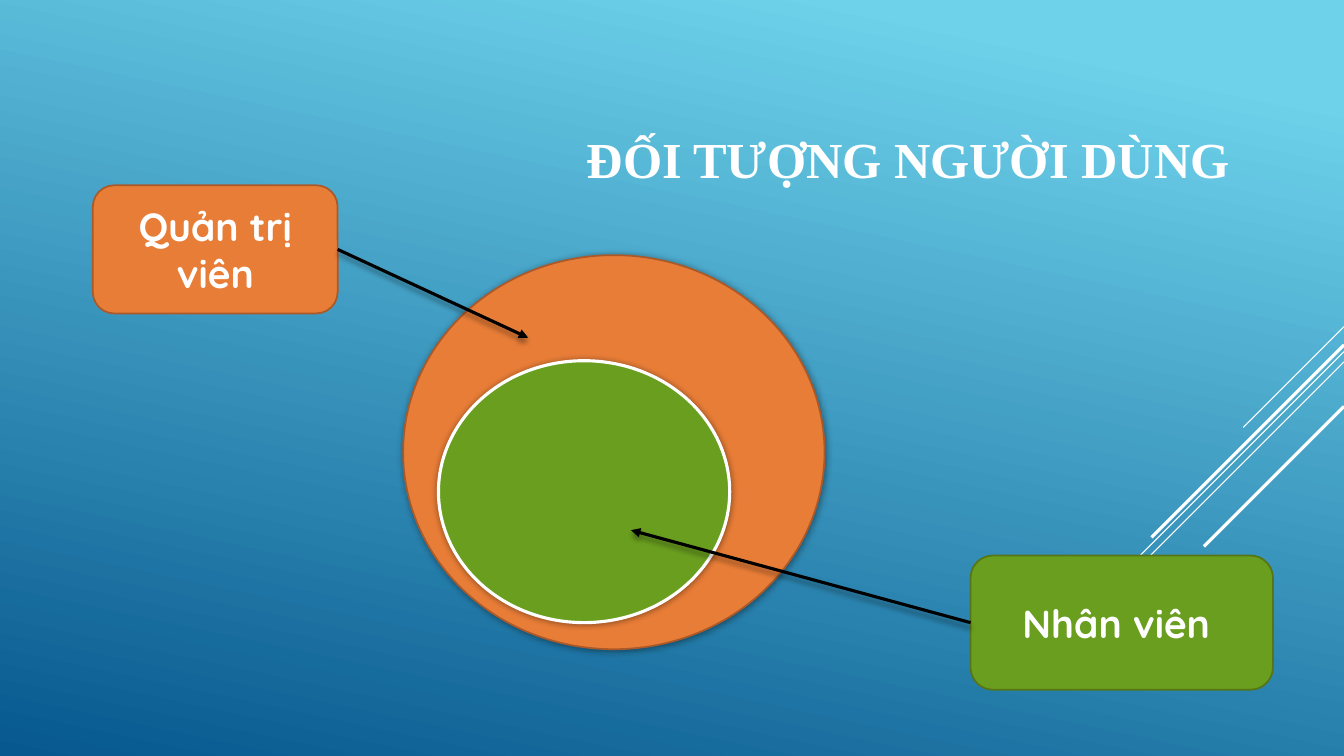
from typing import NamedTuple

from lxml import etree
from pptx import Presentation
from pptx import util as u
from pptx.dml.color import RGBColor
from pptx.enum import shapes, text
from pptx.oxml.ns import qn

WHITE, BLACK = "FFFFFF", "000000"
ORANGE, GREEN = "E87D37", "6A9E1F"
SLIDE_W, SLIDE_H = 33.87, 19.05
RIGHT_SITE, LEFT_SITE = 3, 1


class Streak(NamedTuple):
    top: float
    run: float
    weight: float


class Shadow(NamedTuple):
    blur: float
    distance: float
    angle: int


class Figure(NamedTuple):
    kind: shapes.MSO_SHAPE
    left: float
    top: float
    width: float
    height: float
    fill: str
    line: str
    weight: float
    label: str = ""
    shadow: Shadow | None = None


class Pointer(NamedTuple):
    label: int
    site: int
    x: float
    y: float


STREAKS = [
    Streak(8.23, 2.54, 0.75),
    Streak(8.86, 8.29, 0.75),
    Streak(9.12, 5.27, 0.75),
    Streak(8.69, 4.85, 2.25),
    Streak(10.24, 3.53, 2.25),
]
GLOW = Shadow(5, 0, 0)
DROP = Shadow(4, 3, 90)
BOX, OVAL = shapes.MSO_SHAPE.ROUNDED_RECTANGLE, shapes.MSO_SHAPE.OVAL
FIGURES = [
    Figure(BOX, 2.34, 4.67, 6.17, 3.23, ORANGE, "AC5929", 1.25, "Quản trị viên"),
    Figure(BOX, 24.46, 14, 7.62, 3.38, GREEN, "567517", 1.25, "Nhân viên "),
    Figure(OVAL, 10.16, 6.43, 10.62, 9.93, ORANGE, "AC5929", 1.25, shadow=GLOW),
    Figure(OVAL, 11.05, 9.09, 7.34, 6.6, GREEN, WHITE, 2.25, shadow=GLOW),
]
POINTERS = [
    Pointer(0, RIGHT_SITE, 13.31, 8.51),
    Pointer(1, LEFT_SITE, 15.9, 13.36),
]


def rgb(value: str) -> RGBColor:
    return RGBColor.from_string(value)


def set_effects(s, shadow: Shadow | None = None) -> None:
    sp_pr = s._element.spPr
    for old in sp_pr.findall(qn("a:effectLst")):
        sp_pr.remove(old)
    effects = etree.SubElement(sp_pr, qn("a:effectLst"))
    if shadow:
        outer = etree.SubElement(
            effects, qn("a:outerShdw"),
            blurRad=str(u.Pt(shadow.blur)), dist=str(u.Pt(shadow.distance)),
            dir=str(shadow.angle * 60000), algn="ctr", rotWithShape="0")
        color = etree.SubElement(outer, qn("a:srgbClr"), val=BLACK)
        etree.SubElement(color, qn("a:alpha"), val="40000")


def add_text(tf, words: str, font: str, size: float, align) -> None:
    tf.word_wrap = True
    tf.vertical_anchor = text.MSO_ANCHOR.MIDDLE
    p = tf.paragraphs[0]
    p.alignment = align
    r = p.add_run()
    r.text = words
    r.font.name = font
    r.font.size = u.Pt(size)
    r.font.bold = True
    r.font.color.rgb = rgb(WHITE)


def add_line(slide, x1: float, y1: float, x2: float, y2: float, color: str, weight: float):
    s = slide.shapes.add_connector(
        shapes.MSO_CONNECTOR.STRAIGHT, u.Cm(x1), u.Cm(y1), u.Cm(x2), u.Cm(y2))
    s.line.color.rgb = rgb(color)
    s.line.width = u.Pt(weight)
    return s


def add_streak(slide, streak: Streak) -> None:
    s = add_line(slide, SLIDE_W, streak.top, SLIDE_W - streak.run,
                 streak.top + streak.run, WHITE, streak.weight)
    set_effects(s)


def add_figure(slide, fig: Figure):
    s = slide.shapes.add_shape(
        fig.kind, u.Cm(fig.left), u.Cm(fig.top), u.Cm(fig.width), u.Cm(fig.height))
    s.fill.solid()
    s.fill.fore_color.rgb = rgb(fig.fill)
    s.line.color.rgb = rgb(fig.line)
    s.line.width = u.Pt(fig.weight)
    s.shadow.inherit = False
    if fig.shadow:
        set_effects(s, fig.shadow)
    if fig.label:
        add_text(s.text_frame, fig.label, "Quicksand", 28, text.PP_ALIGN.CENTER)
    return s


def add_pointer(slide, pointer: Pointer, label) -> None:
    s = add_line(slide, 0, 0, pointer.x, pointer.y, BLACK, 2.25)
    s.begin_connect(label, pointer.site)
    etree.SubElement(s.line._get_or_add_ln(), qn("a:tailEnd"), type="triangle")
    set_effects(s, DROP)


def paint_background(slide) -> None:
    fill = slide.background.fill
    fill.gradient()
    fill.gradient_angle = 360 - 102
    for stop, (position, color) in zip(fill.gradient_stops, [(0.1, "6ED2EB"), (1, "06588E")]):
        stop.position = position
        stop.color.rgb = rgb(color)


def main() -> None:
    prs = Presentation()
    prs.slide_width, prs.slide_height = u.Cm(SLIDE_W), u.Cm(SLIDE_H)
    slide = prs.slides.add_slide(prs.slide_layouts[5])
    paint_background(slide)
    for streak in STREAKS:
        add_streak(slide, streak)

    title = slide.shapes.title
    title.left, title.top = u.Cm(14.53), u.Cm(1.9)
    title.width, title.height = u.Cm(17.55), u.Cm(4.19)
    add_text(title.text_frame, "ĐỐI TƯỢNG NGƯỜI DÙNG", "Times New Roman", 36,
             text.PP_ALIGN.LEFT)

    figures = [add_figure(slide, fig) for fig in FIGURES]
    for pointer in POINTERS:
        add_pointer(slide, pointer, figures[pointer.label])
    prs.save("out.pptx")


if __name__ == "__main__":
    main()
